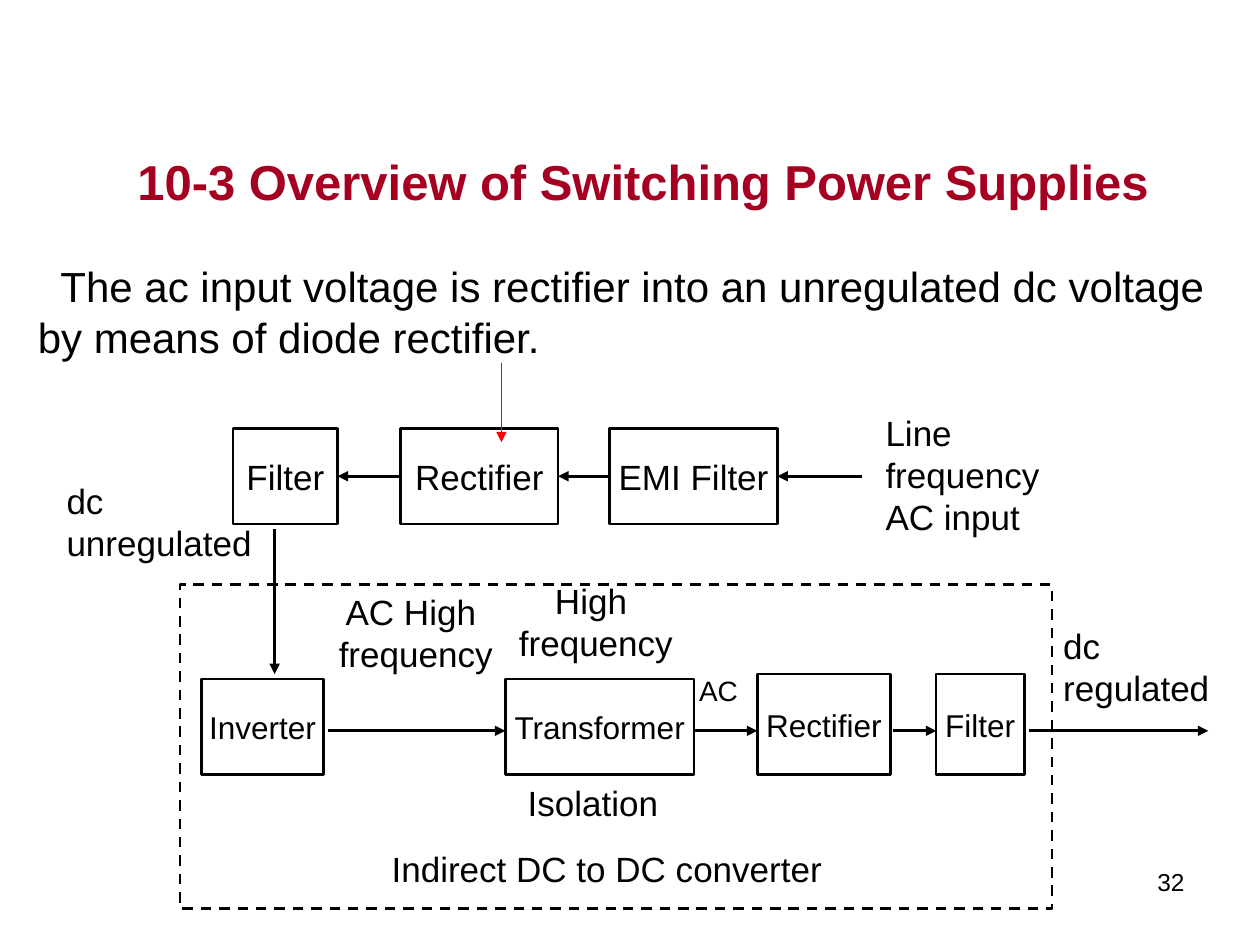
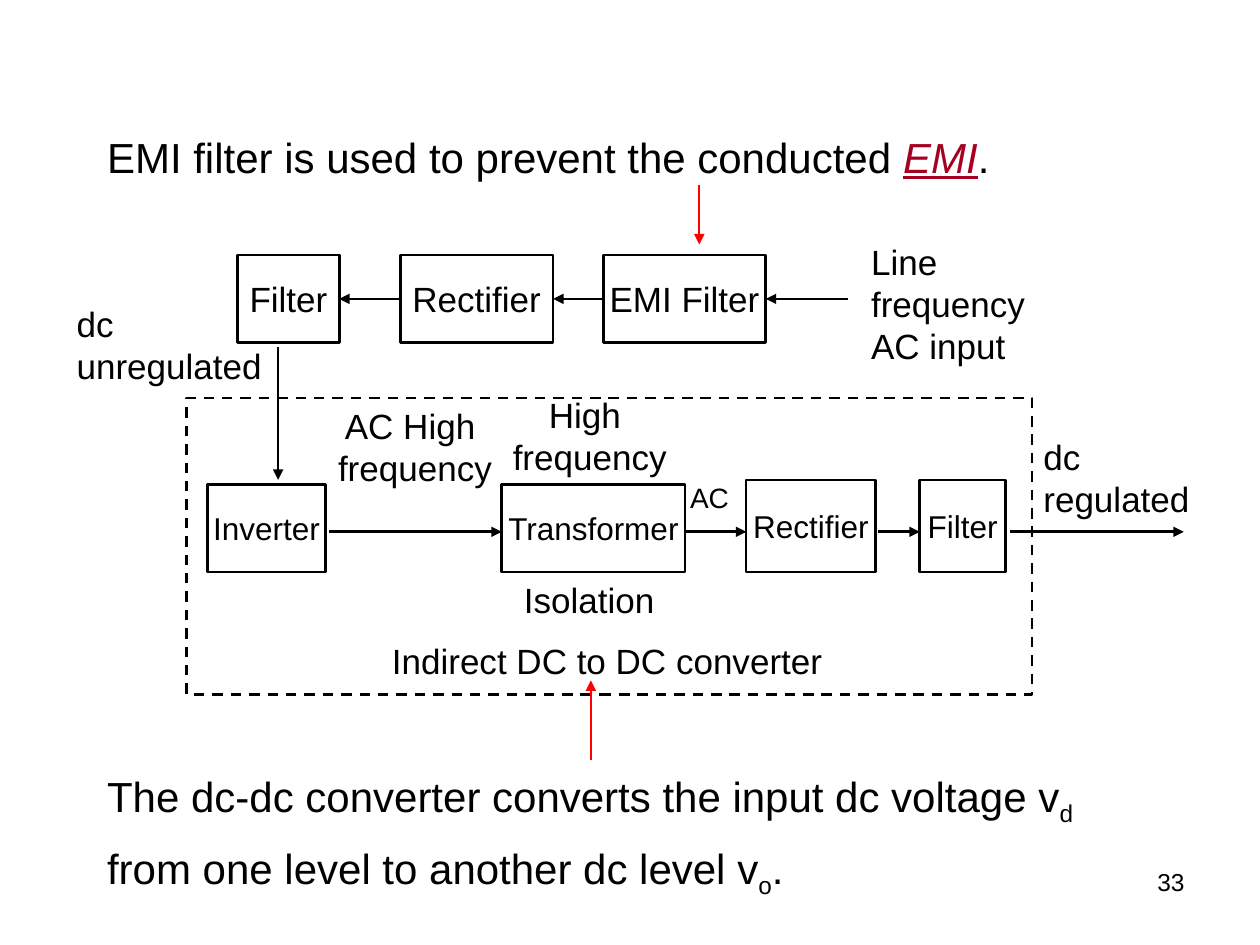
from dataclasses import dataclass

from lxml import etree
from pptx import Presentation
from pptx.dml.color import RGBColor
from pptx.enum.dml import MSO_LINE
from pptx.enum.shapes import MSO_CONNECTOR, MSO_SHAPE
from pptx.enum.text import MSO_ANCHOR, MSO_AUTO_SIZE, PP_ALIGN
from pptx.oxml.ns import qn
from pptx.util import Inches, Pt

LEFT, CENTER, RIGHT = PP_ALIGN.LEFT, PP_ALIGN.CENTER, PP_ALIGN.RIGHT
TOP, MIDDLE = MSO_ANCHOR.TOP, MSO_ANCHOR.MIDDLE
NO_FIT = MSO_AUTO_SIZE.NONE
STRAIGHT, RECTANGLE, DASH = MSO_CONNECTOR.STRAIGHT, MSO_SHAPE.RECTANGLE, MSO_LINE.DASH
LEFT_SIDE, RIGHT_SIDE = 1, 3
TITLE_AND_BODY = 1


@dataclass(frozen=True)
class Theme:
    font: str = "Arial"
    ink: RGBColor = RGBColor(0x00, 0x00, 0x00)
    accent: RGBColor = RGBColor(0xA5, 0x00, 0x21)
    pointer: RGBColor = RGBColor(0xFF, 0x00, 0x00)
    title: int = 28
    body: int = 24
    label: int = 20
    stage: int = 18
    small: int = 16
    number: int = 14
    line: float = 1.5
    pointer_line: float = 1


THEME = Theme()


@dataclass(frozen=True)
class Grid:
    """Origin and cell size in inches."""
    left: float
    top: float
    column: float
    row: float

    def point(self, x: float, y: float) -> tuple:
        return Inches(self.left + x * self.column), Inches(self.top + y * self.row)

    def area(self, x: float, y: float, columns: float, rows: float) -> tuple:
        return *self.point(x, y), Inches(columns * self.column), Inches(rows * self.row)


@dataclass(frozen=True)
class Block:
    text: str
    x: float
    y: float
    columns: float
    rows: float
    size: int


@dataclass(frozen=True)
class Label:
    text: str
    x: float
    y: float
    columns: float
    lines: int = 2
    align: PP_ALIGN = LEFT
    size: int = THEME.label


@dataclass(frozen=True)
class Piece:
    text: str
    subscript: bool = False
    emphasis: bool = False


PAGE = Grid(0, 0, 1, 1)

# Power supply diagram, in grid columns and rows
SUPPLY_CHAIN = [
    Block("EMI Filter", 4.41, 0.18, 1.33, 0.76, THEME.label),
    Block("Rectifier", 2.75, 0.18, 1.25, 0.76, THEME.label),
    Block("Filter", 1.42, 0.18, 0.83, 0.76, THEME.label),
]
CONVERTER_CHAIN = [
    Block("Inverter", 1.17, 2.17, 0.97, 0.76, THEME.stage),
    Block("Transformer", 3.58, 2.17, 1.5, 0.76, THEME.stage),
    Block("Rectifier", 5.58, 2.13, 1.06, 0.8, THEME.stage),
    Block("Filter", 7, 2.13, 0.7, 0.8, THEME.stage),
]
CONVERTER_FRAME = (1, 1.42, 6.92, 2.57)
LABELS = [
    Label("dc\nunregulated", 0, 0.54, 1.83),
    Label("AC High \vfrequency", 2.08, 1.42, 1.58, align=CENTER),
    Label("High \vfrequency", 3.33, 1.33, 1.94, align=CENTER),
    Label("AC", 5.02, 2.08, 0.79, lines=1, size=THEME.small),
    Label("Isolation", 3.66, 2.93, 1.33, lines=1),
    Label("Indirect DC to DC converter", 2.58, 3.46, 4.02, lines=1),
    Label("Line frequency AC input", 6.5, 0, 1.67, lines=3),
    Label("dc\nregulated", 7.91, 1.69, 1.54),
]
INPUT_START = (6.41, 0.56)
DOWN_X, DOWN_START, DOWN_END = 1.75, 0.98, 2.13
FLOW_Y = 2.58
FLOW_SPANS = [(2.17, 3.58), (5.08, 5.58), (6.66, 7), (7.74, 9.16)]


def style_paragraph(paragraph, size: int, align: PP_ALIGN = LEFT, bold: bool = False,
                    color: RGBColor = THEME.ink) -> None:
    paragraph.alignment = align
    paragraph.space_before = Pt(0)
    font = paragraph.font
    font.name, font.size, font.bold = THEME.font, Pt(size), bold
    font.color.rgb = color


def add_text(slide, text: str, area: tuple, size: int, align: PP_ALIGN = LEFT) -> None:
    frame = slide.shapes.add_textbox(*area).text_frame
    frame.word_wrap = True
    frame.text = text
    for paragraph in frame.paragraphs:
        style_paragraph(paragraph, size, align)


def fill_placeholder(placeholder, area: tuple, pieces: list[Piece], size: int = THEME.body,
                     bold: bool = False, color: RGBColor = THEME.ink,
                     first_indent: float = 0, line_spacing: float = 1) -> None:
    placeholder.left, placeholder.top, placeholder.width, placeholder.height = area
    frame = placeholder.text_frame
    frame.word_wrap, frame.auto_size, frame.vertical_anchor = True, NO_FIT, TOP
    paragraph = frame.paragraphs[0]
    properties = paragraph._p.get_or_add_pPr()
    properties.set("marL", "0")
    properties.set("indent", str(Inches(first_indent)))
    etree.SubElement(properties, qn("a:buNone"))
    paragraph.line_spacing = line_spacing
    style_paragraph(paragraph, size, bold=bold, color=color)
    for piece in pieces:
        run = paragraph.add_run()
        run.text = piece.text
        if piece.subscript:
            run._r.get_or_add_rPr().set("baseline", "-25000")
        if piece.emphasis:
            run.font.italic = run.font.underline = True
            run.font.color.rgb = THEME.accent


def add_arrow(slide, grid: Grid, start: tuple, end: tuple,
              color: RGBColor = THEME.ink, width: float = THEME.line):
    arrow = slide.shapes.add_connector(STRAIGHT, *grid.point(*start), *grid.point(*end))
    arrow.line.color.rgb = color
    arrow.line.width = Pt(width)
    etree.SubElement(arrow.line._get_or_add_ln(), qn("a:tailEnd"), type="triangle")
    etree.SubElement(arrow._element.spPr, qn("a:effectLst"))
    return arrow


def add_pointer(slide, start: tuple, end: tuple) -> None:
    add_arrow(slide, PAGE, start, end, THEME.pointer, THEME.pointer_line)


def add_outline(slide, area: tuple):
    shape = slide.shapes.add_shape(RECTANGLE, *area)
    shape.shadow.inherit = False
    shape.fill.background()
    shape.line.color.rgb = THEME.ink
    shape.line.width = Pt(THEME.line)
    return shape


def add_block(slide, grid: Grid, block: Block):
    shape = add_outline(slide, grid.area(block.x, block.y, block.columns, block.rows))
    frame = shape.text_frame
    frame.word_wrap, frame.vertical_anchor = False, MIDDLE
    frame.text = block.text
    style_paragraph(frame.paragraphs[0], block.size, CENTER)
    return shape


def draw_power_supply(slide, grid: Grid) -> None:
    # Blocks and the converter frame
    add_outline(slide, grid.area(*CONVERTER_FRAME)).line.dash_style = DASH
    supply = [add_block(slide, grid, block) for block in SUPPLY_CHAIN]
    for block in CONVERTER_CHAIN:
        add_block(slide, grid, block)

    # Labels keep their line height on every grid
    for label in LABELS:
        left, top = grid.point(label.x, label.y)
        area = left, top, Inches(label.columns * grid.column), Inches(0.1 + label.lines / 3)
        add_text(slide, label.text, area, label.size, label.align)

    # Supply arrows run from right to left, then down to the inverter
    for source, target in zip([None, *supply], supply):
        arrow = add_arrow(slide, grid, INPUT_START, INPUT_START)
        if source is not None:
            arrow.begin_connect(source, LEFT_SIDE)
        arrow.end_connect(target, RIGHT_SIDE)
    add_arrow(slide, grid, (DOWN_X, DOWN_START), (DOWN_X, DOWN_END))

    # Converter arrows run from left to right
    for start, end in FLOW_SPANS:
        add_arrow(slide, grid, (start, FLOW_Y), (end, FLOW_Y))


def add_slide(presentation, number: int, diagram: Grid):
    slide = presentation.slides.add_slide(presentation.slide_layouts[TITLE_AND_BODY])
    add_text(slide, str(number), PAGE.area(7.17, 6.83, 2.33, 0.52), THEME.number, RIGHT)
    draw_power_supply(slide, diagram)
    return slide


def build_overview(presentation) -> None:
    slide = add_slide(presentation, 32, Grid(0.43, 3.22, 1, 1))
    title, body = slide.placeholders
    fill_placeholder(title, PAGE.area(0.99, 1.15, 8.4, 0.57),
                     [Piece("10-3 Overview of Switching Power Supplies")],
                     THEME.title, bold=True, color=THEME.accent)
    fill_placeholder(body, PAGE.area(0.2, 2.02, 9.8, 0.9),
                     [Piece("The ac input voltage is rectifier into an unregulated dc "
                            "voltage by means of diode rectifier.")], first_indent=0.18)
    add_pointer(slide, (3.98, 2.88), (3.98, 3.51))


def build_filter_and_converter(presentation) -> None:
    slide = add_slide(presentation, 33, Grid(0.51, 1.86, 0.97, 0.915))
    title, body = slide.placeholders
    fill_placeholder(title, PAGE.area(0.75, 0.99, 8.51, 0.5),
                     [Piece("EMI filter is used to prevent the conducted "),
                      Piece("EMI", emphasis=True), Piece(".")])
    fill_placeholder(body, PAGE.area(0.75, 5.95, 8.51, 1.24),
                     [Piece("The dc-dc converter converts the input dc voltage v"),
                      Piece("d ", subscript=True),
                      Piece("from one level to another dc level v"),
                      Piece("o", subscript=True), Piece(".")], line_spacing=1.25)
    add_pointer(slide, (5.55, 1.47), (5.55, 1.94))
    add_pointer(slide, (4.69, 6.03), (4.69, 5.4))


def main() -> None:
    presentation = Presentation()
    presentation.slide_width, presentation.slide_height = Inches(10), Inches(7.5)
    build_overview(presentation)
    build_filter_and_converter(presentation)
    presentation.save("out.pptx")


if __name__ == "__main__":
    main()
